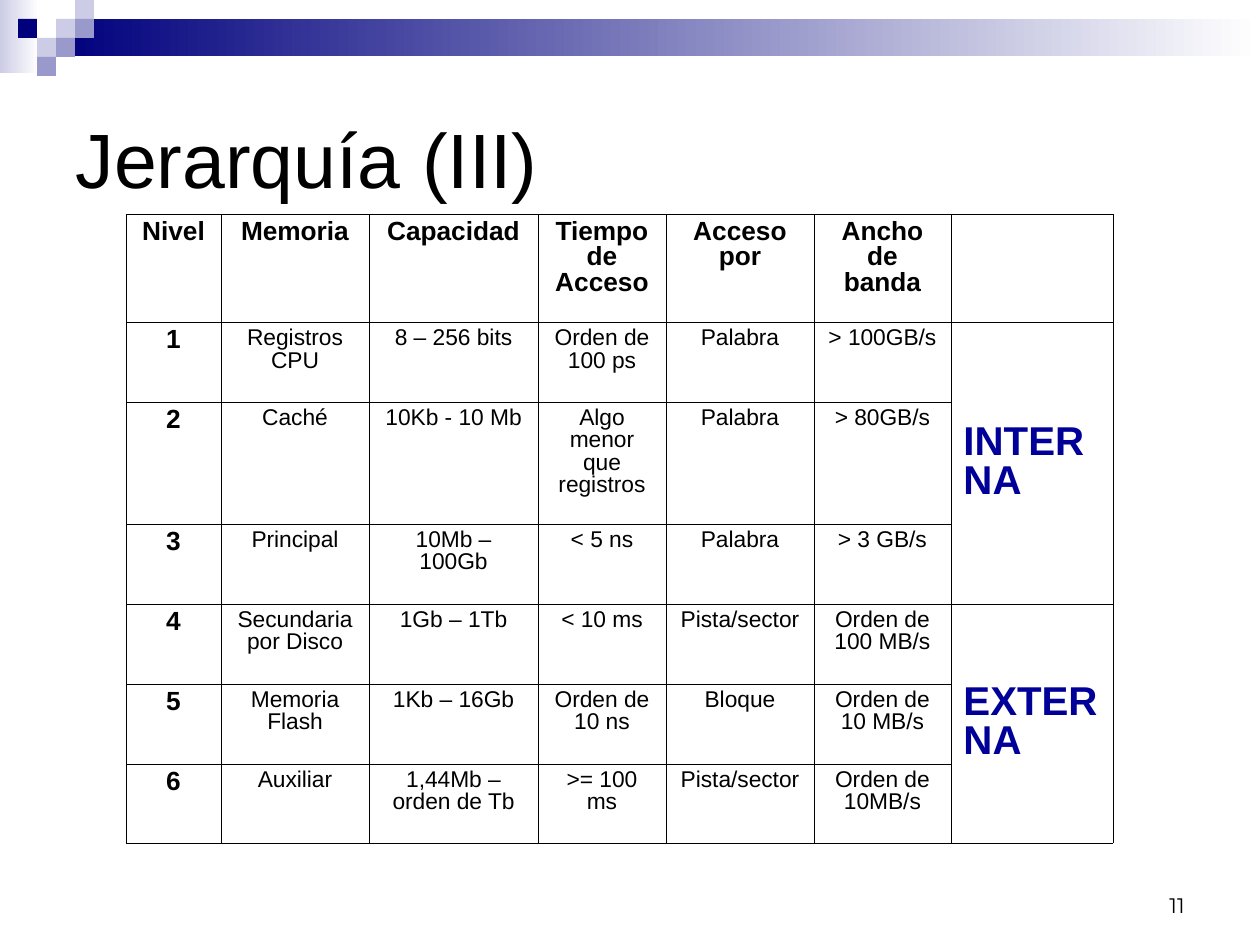
from dataclasses import dataclass
from itertools import accumulate

from lxml import etree
from pptx import Presentation
from pptx import util as u
from pptx.dml.color import RGBColor
from pptx.enum import shapes, text
from pptx.oxml.ns import qn


@dataclass(frozen=True)
class Theme:
    black: str = "000000"
    white: str = "FFFFFF"
    navy: str = "00007D"
    lilac: str = "CCCCE6"
    violet: str = "9999CC"
    accent: str = "000099"
    font: str = "Arial"
    number_font: str = "Montserrat"
    title: int = 44
    group: int = 23
    head: int = 15
    body: int = 13
    number: int = 12
    outer_line: float = 0.23
    inner_line: float = 0.11


T = Theme()
PX_PER_INCH = 126
LEFT, CENTER, RIGHT = text.PP_ALIGN.LEFT, text.PP_ALIGN.CENTER, text.PP_ALIGN.RIGHT
TOP, MIDDLE, BOTTOM = text.MSO_ANCHOR.TOP, text.MSO_ANCHOR.MIDDLE, text.MSO_ANCHOR.BOTTOM

COLUMNS = [95, 148, 169, 128, 148, 137, 162]
ROWS = [108, 80, 122, 80, 80, 80, 79]
HEADER = ["Nivel", "Memoria", "Capacidad", "Tiempo de Acceso", "Acceso por",
          "Ancho de banda"]
LEVELS = [
    ["1", "Registros CPU", "8 – 256 bits", "Orden de 100 ps", "Palabra", "> 100GB/s"],
    ["2", "Caché", "10Kb - 10 Mb", "Algo menor que registros", "Palabra", "> 80GB/s"],
    ["3", "Principal", "10Mb – 100Gb", "< 5 ns", "Palabra", "> 3 GB/s"],
    ["4", "Secundaria por Disco", "1Gb – 1Tb", "< 10 ms", "Pista/sector",
     "Orden de 100 MB/s"],
    ["5", "Memoria Flash", "1Kb – 16Gb", "Orden de 10 ns", "Bloque", "Orden de 10 MB/s"],
    ["6", "Auxiliar", "1,44Mb – orden de Tb", ">= 100 ms", "Pista/sector",
     "Orden de 10MB/s"],
]
GROUPS = [("INTERNA", 1, 3), ("EXTERNA", 4, 6)]  # label, first row, last row


def px(n):
    return u.Emu(round(n * 914400 / PX_PER_INCH))


def rgb(color):
    return RGBColor.from_string(color)


def write(tf, content, size, font=T.font, color=T.black, bold=False, align=LEFT,
          spacing=None):
    tf.word_wrap = True
    p = tf.paragraphs[0]
    p.alignment = align
    if spacing:
        p.line_spacing = spacing
    r = p.add_run()
    r.text = content
    r.font.name, r.font.size, r.font.bold = font, u.Pt(size), bold
    r.font.color.rgb = rgb(color)


def add_block(slide, x, y, w, h, color, fade_to=None):
    sp = slide.shapes.add_shape(shapes.MSO_SHAPE.RECTANGLE, px(x), px(y), px(w), px(h))
    sp.shadow.inherit = False
    sp.line.fill.background()
    if fade_to:
        sp.fill.gradient()
        sp.fill.gradient_angle = 0
        for i, (stop, stop_color) in enumerate(zip(sp.fill.gradient_stops,
                                                   (color, fade_to))):
            stop.position = i
            stop.color.rgb = rgb(stop_color)
    else:
        sp.fill.solid()
        sp.fill.fore_color.rgb = rgb(color)


def add_banner(slide):
    add_block(slide, 0, 0, 39, 73, T.lilac, fade_to=T.white)
    add_block(slide, 57, 19, 1202, 37, T.navy, fade_to=T.white)
    # Stepped squares: columns and rows on a 19 px grid
    for col, row, color in [(3, 1, T.lilac), (4, 0, T.lilac), (4, 1, T.violet),
                            (2, 2, T.lilac), (1, 1, T.navy), (3, 2, T.violet),
                            (2, 3, T.violet)]:
        add_block(slide, 19 * col - 1, 19 * row, 19, 19, color)


def set_title(slide, content):
    sp = slide.shapes.title
    sp.left, sp.top, sp.width, sp.height = px(63), px(63), px(1134), px(189)
    tf = sp.text_frame
    tf.auto_size = text.MSO_AUTO_SIZE.NONE
    tf.vertical_anchor = MIDDLE
    write(tf, content, T.title)


def add_page_number(slide, number):
    tf = slide.shapes.add_textbox(px(903), px(861), px(294), px(63)).text_frame
    tf.vertical_anchor = BOTTOM
    write(tf, number, T.number, font=T.number_font, align=RIGHT)


def set_borders(cell, widths):
    tc_pr = cell._tc.get_or_add_tcPr()
    for side, width in zip("LRTB", widths):
        ln = etree.SubElement(tc_pr, qn(f"a:ln{side}"), w=str(u.Pt(width)))
        fill = etree.SubElement(ln, qn("a:solidFill"))
        etree.SubElement(fill, qn("a:srgbClr"), val=T.black)


def add_hierarchy_table(slide):
    n_rows, n_cols = len(ROWS), len(COLUMNS)
    table = slide.shapes.add_table(n_rows, n_cols, px(126), px(214),
                                   px(sum(COLUMNS)), px(sum(ROWS))).table
    table.first_row = table.horz_banding = False
    # Sizes are differences of running edges, so rounding does not build up
    for lines, sizes, attr in ((table.columns, COLUMNS, "width"),
                               (table.rows, ROWS, "height")):
        edges = [px(e) for e in accumulate(sizes, initial=0)]
        for line, start, end in zip(lines, edges, edges[1:]):
            setattr(line, attr, u.Emu(end - start))

    # Plain cells with a slightly heavier outer frame
    for i in range(n_rows):
        for j in range(n_cols):
            on_edge = (j == 0, j == n_cols - 1, i == 0, i == n_rows - 1)
            cell = table.cell(i, j)
            set_borders(cell, [T.outer_line if e else T.inner_line for e in on_edge])
            cell.fill.background()

    # Header and levels
    for i, row in enumerate([HEADER, *LEVELS]):
        for j, content in enumerate(row):
            strong = i == 0 or j == 0
            cell = table.cell(i, j)
            cell.vertical_anchor = TOP
            write(cell.text_frame, content, T.head if strong else T.body,
                  bold=strong, align=CENTER, spacing=0.87)

    # Merged group labels
    for label, first, last in GROUPS:
        cell = table.cell(first, n_cols - 1)
        cell.merge(table.cell(last, n_cols - 1))
        cell.vertical_anchor = MIDDLE
        write(cell.text_frame, label, T.group, color=T.accent, bold=True, spacing=0.87)


def main():
    prs = Presentation()
    prs.slide_width, prs.slide_height = px(1260), px(945)
    slide = prs.slides.add_slide(prs.slide_layouts[5])
    add_banner(slide)
    add_page_number(slide, "11")
    set_title(slide, "Jerarquía (III)")
    add_hierarchy_table(slide)
    prs.save("out.pptx")


if __name__ == "__main__":
    main()
